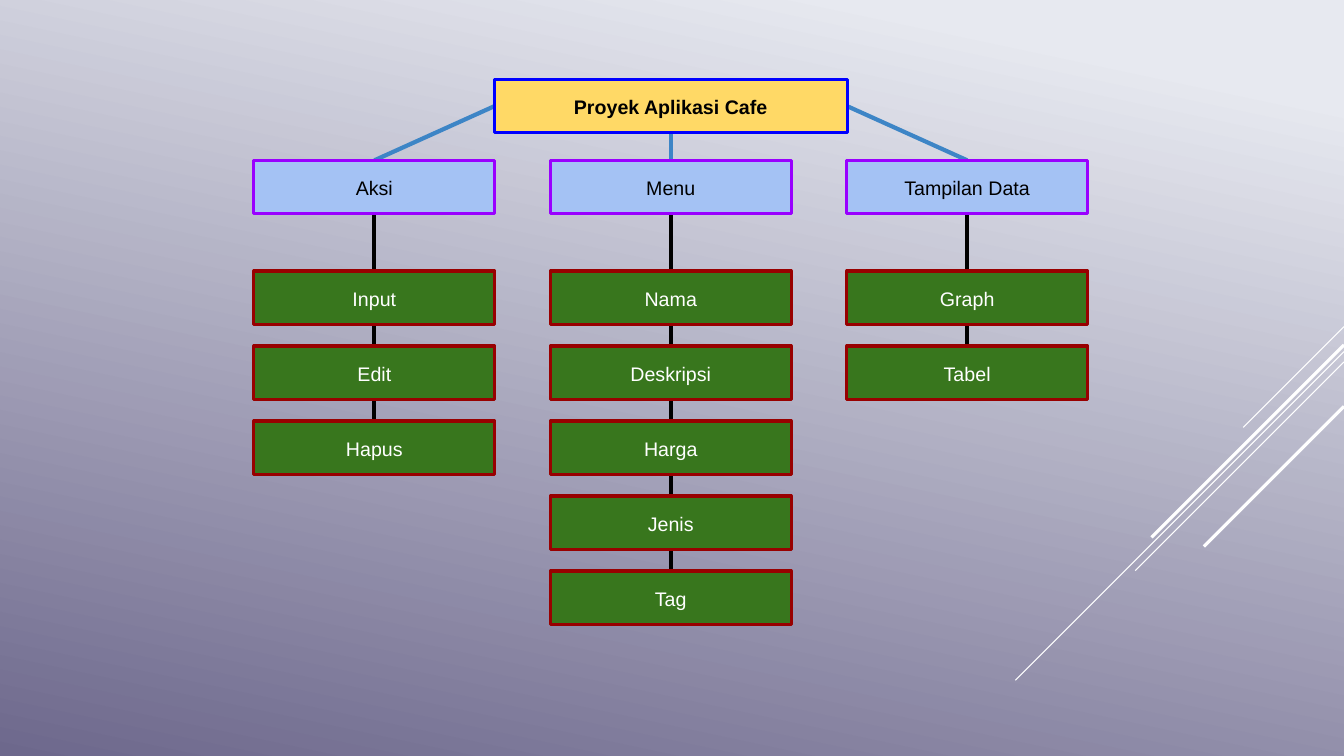
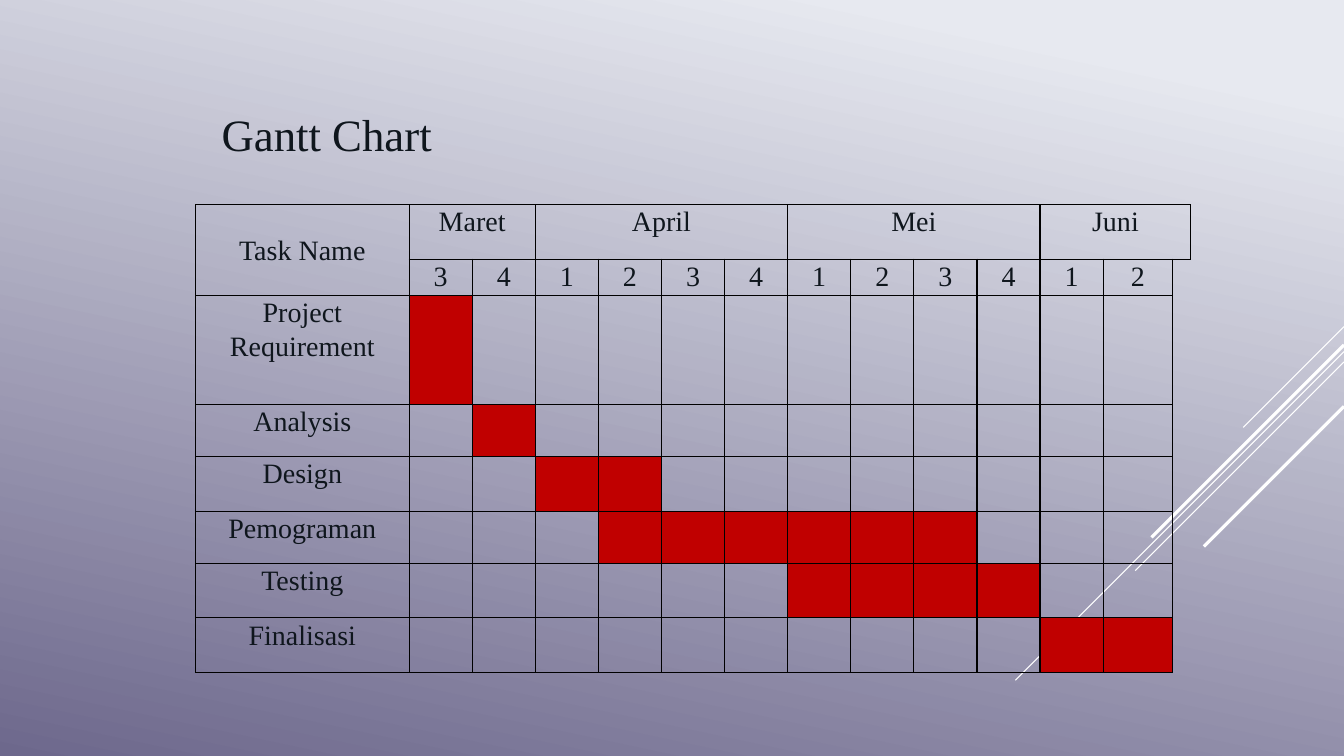
from dataclasses import dataclass

from lxml.etree import SubElement
from pptx import Presentation
from pptx.dml.color import RGBColor
from pptx.enum.shapes import MSO_CONNECTOR, MSO_SHAPE
from pptx.enum.text import MSO_ANCHOR, MSO_AUTO_SIZE, PP_ALIGN
from pptx.oxml.ns import qn
from pptx.util import Cm, Pt

WIDTH, HEIGHT = 33.87, 19.05
BLACK, WHITE, INK, RED = "000000", "FFFFFF", "0F161D", "C00000"
SANS, SERIF = "Arial", "Times New Roman"


@dataclass
class Stripe:
    top: float
    length: float
    weight: float


@dataclass
class BoxStyle:
    fill: str
    line: str
    text: str
    bold: bool = False


@dataclass
class Branch:
    head: str
    items: list[str]
    root_side: int


@dataclass
class Month:
    name: str
    weeks: list[int]


@dataclass
class Task:
    name: str
    first: int
    last: int
    height: float


STRIPES = [
    Stripe(8.23, 2.54, 0.75),
    Stripe(8.86, 8.28, 0.75),
    Stripe(9.12, 5.26, 0.75),
    Stripe(8.69, 4.85, 2.25),
    Stripe(10.24, 3.53, 2.25),
]

ROOT = BoxStyle("FFD966", "0000FF", BLACK, True)
HEAD = BoxStyle("A4C2F4", "9900FF", BLACK)
ITEM = BoxStyle("38761D", "980000", WHITE)
BRANCHES = [
    Branch("Aksi", ["Input", "Edit", "Hapus"], 1),
    Branch("Menu", ["Nama", "Deskripsi", "Harga", "Jenis", "Tag"], 2),
    Branch("Tampilan Data", ["Graph", "Tabel"], 3),
]

MONTHS = [
    Month("Maret", [3, 4]),
    Month("April", [1, 2, 3, 4]),
    Month("Mei", [1, 2, 3, 4]),
    Month("Juni", [1, 2]),
]
TASKS = [
    Task("Project Requirement", 1, 1, 2.74),
    Task("Analysis", 2, 2, 1.32),
    Task("Design", 3, 4, 1.37),
    Task("Pemograman", 4, 9, 1.32),
    Task("Testing", 7, 10, 1.37),
    Task("Finalisasi", 11, 12, 1.37),
]


def rgb(color: str) -> RGBColor:
    return RGBColor.from_string(color)


def format_runs(p, size: float, font: str, color: str, bold: bool = False) -> None:
    for r in p.runs:
        r.font.size = Pt(size)
        r.font.name = font
        r.font.bold = bold
        r.font.color.rgb = rgb(color)


def add_line(s, start: tuple, end: tuple, color: str, weight: float):
    points = [Cm(v) for v in (*start, *end)]
    con = s.shapes.add_connector(MSO_CONNECTOR.STRAIGHT, *points)
    con.line.color.rgb = rgb(color)
    con.line.width = Pt(weight)
    SubElement(con.element.spPr, qn("a:effectLst"))
    return con


def join(s, upper, side: int, lower, color: str) -> None:
    con = add_line(s, (0, 0), (1, 1), color, 3)
    con.begin_connect(upper, side)
    con.end_connect(lower, 0)
    s.shapes.element.insert(2, con.element)


def add_box(s, text: str, left: float, top: float, width: float, style: BoxStyle):
    sp = s.shapes.add_shape(MSO_SHAPE.RECTANGLE, Cm(left), Cm(top), Cm(width), Cm(1.35))
    sp.shadow.inherit = False
    sp.fill.solid()
    sp.fill.fore_color.rgb = rgb(style.fill)
    sp.line.color.rgb = rgb(style.line)
    sp.line.width = Pt(2.25)
    tf = sp.text_frame
    tf.text = text
    tf.word_wrap = True
    tf.vertical_anchor = MSO_ANCHOR.MIDDLE
    tf.margin_left = tf.margin_right = tf.margin_top = tf.margin_bottom = Cm(0.25)
    p = tf.paragraphs[0]
    p.alignment = PP_ALIGN.CENTER
    p.line_spacing = 1.07
    p.space_after = Pt(8)
    format_runs(p, 14, SANS, style.text, style.bold)
    return sp


def set_borders(cell, shown: str) -> None:
    tcPr = cell._tc.get_or_add_tcPr()
    for side in "LRTB":
        ln = SubElement(tcPr, qn(f"a:ln{side}"), w=str(Pt(1)))
        if side in shown:
            fill = SubElement(ln, qn("a:solidFill"))
            SubElement(fill, qn("a:srgbClr"), val=BLACK)
        else:
            SubElement(ln, qn("a:noFill"))


def set_text(cell, text: str) -> None:
    cell.text = text
    p = cell.text_frame.paragraphs[0]
    p.alignment = PP_ALIGN.CENTER
    p.line_spacing = 1.07
    format_runs(p, 20, SERIF, INK)


def style_master(prs, s) -> None:
    master = prs.slide_master
    fill = master.background.fill
    fill.gradient()
    fill.gradient_angle = 258
    for stop, position, color in zip(fill.gradient_stops, (0.1, 1), ("E7E9F0", "6D688C")):
        stop.position = position
        stop.color.rgb = rgb(color)
    for number, stripe in enumerate(STRIPES, 101):
        end = (WIDTH - stripe.length, stripe.top + stripe.length)
        con = add_line(s, (WIDTH, stripe.top), end, WHITE, stripe.weight)
        con.element.xpath(".//p:cNvPr")[0].set("id", str(number))
        master.shapes.element.append(con.element)


def draw_tree(s) -> None:
    left, step, width, root_width = 6.4, 7.47, 6.07, 8.89
    root_left = left + step + (width - root_width) / 2
    root = add_box(s, "Proyek Aplikasi Cafe", root_left, 2, root_width, ROOT)
    for col, branch in enumerate(BRANCHES):
        x = left + col * step
        head = add_box(s, branch.head, x, 4.04, width, HEAD)
        items = [
            add_box(s, text, x, 6.83 + row * 1.89, width, ITEM)
            for row, text in enumerate(branch.items)
        ]
        join(s, root, branch.root_side, head, "3D85C6")
        join(s, head, 2, items[-1], BLACK)


def draw_title(s, text: str) -> None:
    title = s.shapes.title
    title.left, title.top, title.width, title.height = Cm(5.33), Cm(2.54), Cm(6.2), Cm(1.63)
    tf = title.text_frame
    tf.text = text
    tf.word_wrap = False
    tf.auto_size = MSO_AUTO_SIZE.NONE
    tf.vertical_anchor = MSO_ANCHOR.MIDDLE
    p = tf.paragraphs[0]
    p.alignment = PP_ALIGN.LEFT
    format_runs(p, 32, SERIF, INK)


def draw_gantt(s) -> None:
    widths = [5.38] + [1.59] * 11 + [1.75, 0.28]
    heights = [1.37, 0.92] + [task.height for task in TASKS]
    last = len(widths) - 1
    frame = s.shapes.add_table(
        len(heights), len(widths), Cm(4.93), Cm(5.16), Cm(sum(widths)), Cm(sum(heights))
    )
    table = frame.table
    table.first_row = table.horz_banding = False
    for column, width in zip(table.columns, widths):
        column.width = Cm(width)
    for row, height in zip(table.rows, heights):
        row.height = Cm(height)

    for r in range(len(heights)):
        for c in range(len(widths)):
            cell = table.cell(r, c)
            cell.margin_left = cell.margin_right = Cm(0.18)
            cell.margin_top = cell.margin_bottom = 0
            if c < last or r == 0:
                set_borders(cell, "LRTB")
            else:
                set_borders(cell, "LT" if r == 1 else "L")
            if r > 1 and TASKS[r - 2].first <= c <= TASKS[r - 2].last:
                cell.fill.solid()
                cell.fill.fore_color.rgb = rgb(RED)
            else:
                cell.fill.background()

    corner = table.cell(0, 0)
    corner.merge(table.cell(1, 0))
    corner.vertical_anchor = MSO_ANCHOR.MIDDLE
    set_text(corner, "Task Name")
    first = 1
    for month in MONTHS:
        following = first + len(month.weeks)
        end = last if following == last else following - 1
        table.cell(0, first).merge(table.cell(0, end))
        set_text(table.cell(0, first), month.name)
        for c, week in enumerate(month.weeks, first):
            set_text(table.cell(1, c), str(week))
        first = following
    for r, task in enumerate(TASKS, 2):
        set_text(table.cell(r, 0), task.name)


def main() -> None:
    prs = Presentation()
    prs.slide_width, prs.slide_height = Cm(WIDTH), Cm(HEIGHT)
    s = prs.slides.add_slide(prs.slide_layouts[6])
    style_master(prs, s)
    draw_tree(s)
    s = prs.slides.add_slide(prs.slide_layouts[5])
    draw_title(s, "Gantt Chart")
    draw_gantt(s)
    prs.save("out.pptx")


if __name__ == "__main__":
    main()
